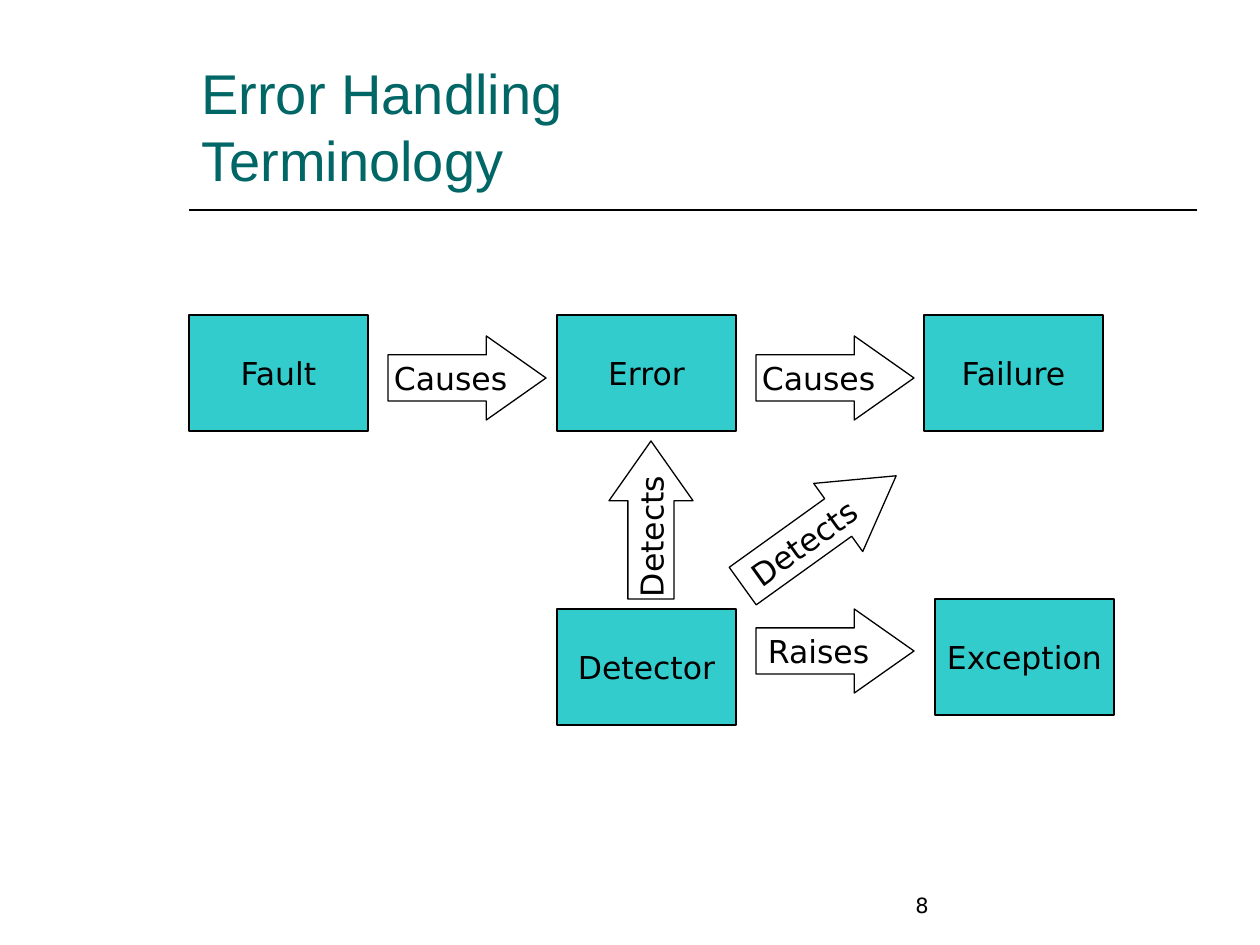
from pptx import Presentation
from pptx import util as u
from pptx.dml.color import RGBColor
from pptx.enum import shapes, text
from lxml import etree

HUES = {"ink": "000000", "title": "006666", "box": "33CCCC"}
NS = "http://schemas.openxmlformats.org/drawingml/2006/main"


def px(n):
    return u.Emu(round(n * 914400 / 126))


def hue(name):
    return RGBColor.from_string(HUES[name])


def style(para, size, face, tint):
    para.font.size = u.Pt(size)
    para.font.name = face
    para.font.color.rgb = hue(tint)


def write(slide, box, words, size, face, tint):
    frame = slide.shapes.add_textbox(*map(px, box)).text_frame
    frame.word_wrap = True
    frame.vertical_anchor = text.MSO_ANCHOR.BOTTOM
    frame.text = words
    style(frame.paragraphs[0], size, face, tint)


def label(slide, kind, box, words, fill=None):
    shape = slide.shapes.add_shape(kind, *map(px, box))
    shape.shadow.inherit = False
    if fill:
        shape.fill.solid()
        shape.fill.fore_color.rgb = hue(fill)
    else:
        shape.fill.background()
    shape.line.color.rgb = hue("ink")
    shape.line.width = u.Pt(0.75)
    frame = shape.text_frame
    frame.word_wrap = False
    frame.vertical_anchor = text.MSO_ANCHOR.MIDDLE
    frame.text = words
    para = frame.paragraphs[0]
    para.alignment = text.PP_ALIGN.CENTER
    style(para, 18, "DejaVu Sans", "ink")
    return shape


def header(slide, box):
    left, top, width, height = box
    write(slide, (left, top, width, height - 11),
          "Error Handling\vTerminology", 32, "Arial", "title")
    base = px(top + height)
    rule = slide.shapes.add_connector(
        shapes.MSO_CONNECTOR.STRAIGHT, px(left), base, px(left + width), base)
    rule.line.color.rgb = hue("ink")
    rule.line.width = u.Pt(1)
    etree.SubElement(rule._element.spPr, f"{{{NS}}}effectLst")


def flow(slide, box):
    left, top, _, _ = box
    nodes = [("Fault", 0, 0), ("Error", 368, 0), ("Failure", 735, 0),
             ("Detector", 368, 294), ("Exception", 746, 284)]
    for words, x, y in nodes:
        label(slide, shapes.MSO_SHAPE.RECTANGLE,
              (left + x, top + y, 179, 116), words, "box")
    arrows = [("Causes", 199, 21, 158, 0, 0.71),
              ("Causes", 567, 21, 158, 0, 0.71),
              ("Raises", 567, 294, 158, 0, 0.71),
              ("Detects", 383, 163, 158, 270, 0.71),
              ("Detects", 536, 174, 189, 324.3, 0.85)]
    for words, x, y, width, turn, head in arrows:
        arrow = label(slide, shapes.MSO_SHAPE.RIGHT_ARROW,
                      (left + x, top + y, width, 84), words)
        arrow.adjustments[0] = 0.55
        arrow.adjustments[1] = head
        arrow.rotation = turn


def footer(slide, box):
    write(slide, box, "8", 12, "DejaVu Sans", "ink")


def main():
    deck = Presentation()
    deck.slide_width, deck.slide_height = px(1260), px(945)
    slide = deck.slides.add_slide(deck.slide_layouts[6])
    header(slide, (189, 42, 1008, 168))
    flow(slide, (189, 315, 925, 410))
    footer(slide, (903, 861, 294, 63))
    deck.save("out.pptx")


if __name__ == "__main__":
    main()
